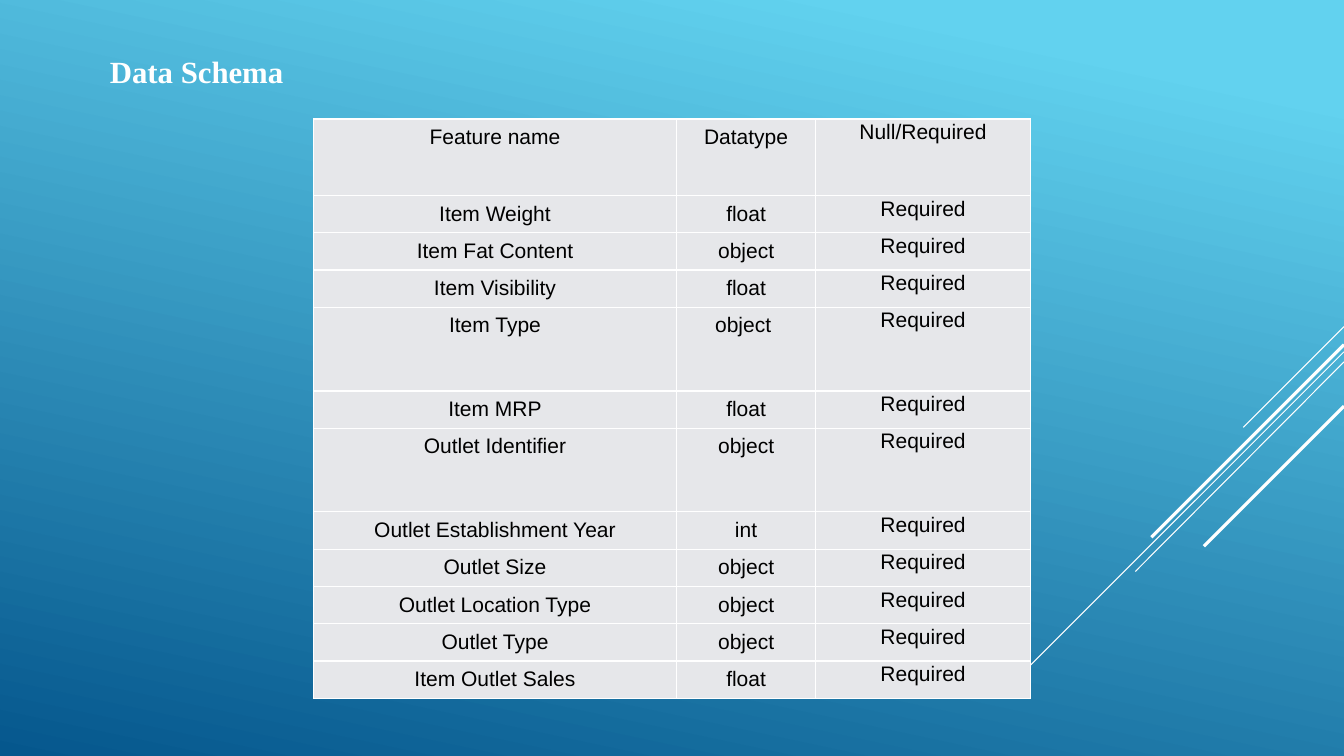
from dataclasses import dataclass

from lxml import etree
from pptx import Presentation
from pptx.dml.color import RGBColor
from pptx.enum.shapes import MSO_CONNECTOR
from pptx.enum.text import MSO_ANCHOR, MSO_AUTO_SIZE, PP_ALIGN
from pptx.oxml.ns import qn
from pptx.util import Inches, Pt

STRAIGHT = MSO_CONNECTOR.STRAIGHT
TOP, MIDDLE = MSO_ANCHOR.TOP, MSO_ANCHOR.MIDDLE
LEFT, CENTER = PP_ALIGN.LEFT, PP_ALIGN.CENTER
NO_FIT = MSO_AUTO_SIZE.NONE

COLORS = {
    "sky": "62D2EF",
    "deep": "05578D",
    "white": "FFFFFF",
    "black": "000000",
    "cell": "E6E7EA",
}
WIDTH, HEIGHT = 13.33, 7.5


@dataclass
class Streak:
    top: float
    left: float
    bottom: float
    weight: float


@dataclass
class Feature:
    name: str
    kind: str
    need: str = "Required"
    height: float = 0.37


STREAKS = [
    Streak(3.24, 12.33, 4.24, 0.75),
    Streak(3.49, 10.07, 6.75, 0.75),
    Streak(3.59, 11.26, 5.67, 0.75),
    Streak(3.42, 11.42, 5.33, 2.25),
    Streak(4.03, 11.94, 5.42, 2.25),
]
FEATURES = [
    Feature("Feature name", "Datatype", "Null/Required", 0.76),
    Feature("Item Weight", "float"),
    Feature("Item Fat Content", "object"),
    Feature("Item Visibility", "float"),
    Feature("Item Type", "object ", height=0.83),
    Feature("Item MRP", "float"),
    Feature("Outlet Identifier", "object", height=0.83),
    Feature("Outlet Establishment Year", "int"),
    Feature("Outlet Size", "object"),
    Feature("Outlet Location Type", "object"),
    Feature("Outlet Type", "object"),
    Feature("Item Outlet Sales", "float"),
]
COLUMNS = [3.6, 1.38, 2.13]
INSETS = [(0.05, 0.05), (0.05, 0.05), (0.06, 0)]  # sides, top and bottom


def color(name: str) -> RGBColor:
    return RGBColor.from_string(COLORS[name])


def paint_back(slide) -> None:
    fill = slide.background.fill
    fill.gradient()
    fill.gradient_angle = 258
    for stop, name, place in zip(fill.gradient_stops, ("sky", "deep"), (0.1, 1)):
        stop.color.rgb = color(name)
        stop.position = place


def draw_streak(slide, streak: Streak) -> None:
    line = slide.shapes.add_connector(
        STRAIGHT, Inches(WIDTH), Inches(streak.top),
        Inches(streak.left), Inches(streak.bottom))
    line.line.color.rgb = color("white")
    line.line.width = Pt(streak.weight)
    etree.SubElement(line._element.spPr, qn("a:effectLst"))


def write_title(slide, text: str) -> None:
    title = slide.shapes.title
    title.left, title.top = Inches(0.99), Inches(0.42)
    title.width, title.height = Inches(2.51), Inches(0.57)
    frame = title.text_frame
    frame.text = text
    frame.auto_size = NO_FIT
    frame.word_wrap = True
    frame.vertical_anchor = MIDDLE
    para = frame.paragraphs[0]
    para.alignment = LEFT
    font = para.font
    font.name, font.size, font.bold = "Times New Roman", Pt(22), True
    font.color.rgb = color("white")


def edge_cell(cell) -> None:
    props = cell._tc.get_or_add_tcPr()
    for spot, side in enumerate(("lnL", "lnR", "lnT", "lnB")):
        edge = etree.Element(qn(f"a:{side}"), w=str(Pt(1)))
        fill = etree.SubElement(edge, qn("a:solidFill"))
        etree.SubElement(fill, qn("a:srgbClr"), val=COLORS["white"])
        props.insert(spot, edge)


def write_cell(cell, text: str, inset: tuple[float, float]) -> None:
    side, rim = inset
    cell.margin_left = cell.margin_right = Inches(side)
    cell.margin_top = cell.margin_bottom = Inches(rim)
    cell.vertical_anchor = TOP
    cell.fill.solid()
    cell.fill.fore_color.rgb = color("cell")
    cell.text = text
    para = cell.text_frame.paragraphs[0]
    para.alignment, para.line_spacing = CENTER, 1.07
    para.font.name, para.font.size = "Arial", Pt(15)
    para.font.color.rgb = color("black")
    edge_cell(cell)


def draw_table(slide, features: list[Feature]) -> None:
    total = sum(item.height for item in features)
    table = slide.shapes.add_table(
        len(features), len(COLUMNS), Inches(3.11), Inches(1.18),
        Inches(sum(COLUMNS)), Inches(total)).table
    for column, width in zip(table.columns, COLUMNS):
        column.width = Inches(width)
    for row, item in zip(table.rows, features):
        row.height = Inches(item.height)
        texts = (item.name, item.kind, item.need)
        for cell, text, inset in zip(row.cells, texts, INSETS):
            write_cell(cell, text, inset)


def main() -> None:
    deck = Presentation()
    deck.slide_width, deck.slide_height = Inches(WIDTH), Inches(HEIGHT)
    slide = deck.slides.add_slide(deck.slide_layouts[5])

    # Background and diagonal streaks
    paint_back(slide)
    for streak in STREAKS:
        draw_streak(slide, streak)

    # Heading and schema table
    write_title(slide, "Data Schema")
    draw_table(slide, FEATURES)
    deck.save("out.pptx")


if __name__ == "__main__":
    main()
